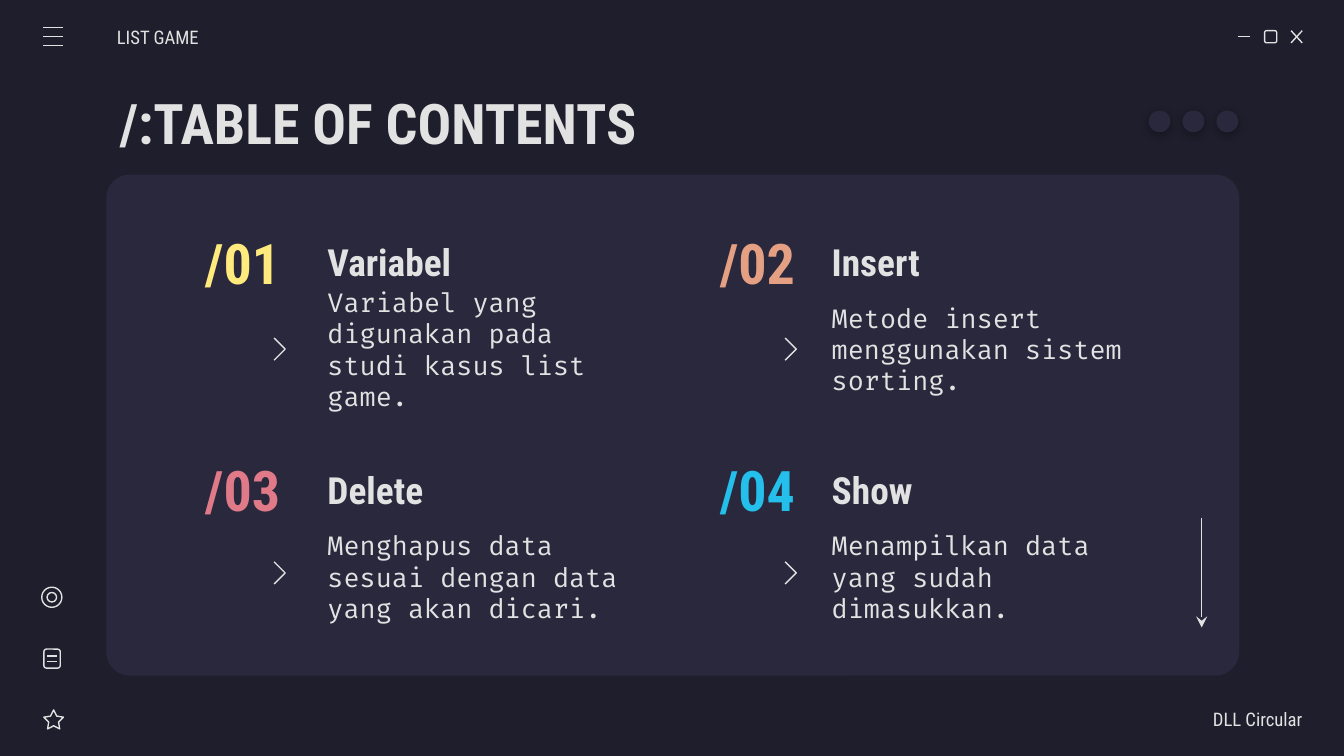
from lxml import etree
from pptx import Presentation, util as u
from pptx.dml.color import RGBColor
from pptx.enum import shapes, text
from pptx.oxml import parse_xml
from pptx.oxml.ns import nsdecls, qn

Cm = u.Cm
MSO = shapes.MSO_SHAPE
COLORS = {
    "background": "1E1E2C", "panel": "29283D", "light": "E2E2E2",
    "yellow": "FFEA7D", "orange": "E5A083", "pink": "E07A88", "blue": "24BFEB",
}
HEAD, BODY = "Roboto Condensed", "Fira Code"

prs = Presentation()
prs.slide_width, prs.slide_height = Cm(25.4), Cm(14.29)
s = prs.slides.add_slide(prs.slide_layouts[6])
s.background.fill.solid()
s.background.fill.fore_color.rgb = RGBColor.from_string(COLORS["background"])


def style(sp, fill=None):
    """Fill a shape without an outline, or leave it hollow with a thin light line."""
    sp.shadow.inherit = False
    if fill:
        sp.fill.solid()
        sp.fill.fore_color.rgb = RGBColor.from_string(COLORS[fill])
        sp.line.fill.background()
        return
    if hasattr(sp, "fill"):
        sp.fill.background()
    sp.line.color.rgb = RGBColor.from_string(COLORS["light"])
    sp.line.width = u.Pt(0.75)


def add_text(words, x, y, w, h, size, font=HEAD, bold=False, color="light",
             align=text.PP_ALIGN.LEFT, left=0.25, right=0.25):
    tf = s.shapes.add_textbox(Cm(x), Cm(y), Cm(w), Cm(h)).text_frame
    tf.word_wrap = True
    tf.vertical_anchor = text.MSO_ANCHOR.MIDDLE
    tf.margin_left, tf.margin_right = Cm(left), Cm(right)
    tf.margin_top = tf.margin_bottom = Cm(0.25)
    tf.text = words
    p = tf.paragraphs[0]
    p.alignment = align
    r = p.runs[0]
    r.font.name, r.font.size, r.font.bold = font, u.Pt(size), bold
    r.font.color.rgb = RGBColor.from_string(COLORS[color])


# Panel
panel = s.shapes.add_shape(MSO.ROUNDED_RECTANGLE, Cm(2.01), Cm(3.3), Cm(21.41), Cm(9.47))
panel.adjustments[0] = 0.047
style(panel, "panel")

# Window buttons, menu bars, note lines and the scroll arrow
lines = [
    (23.4, 0.69, 23.62, 0.69),
    (24.4, 0.58, 24.61, 0.81), (24.61, 0.58, 24.4, 0.81),
    *[(0.82, y, 1.2, y) for y in (0.52, 0.69, 0.86)],
    *[(0.89, y, 1.07, y) for y in (12.4, 12.5)],
    (22.71, 9.8, 22.71, 11.86),
]
for x1, y1, x2, y2 in lines:
    line = s.shapes.add_connector(shapes.MSO_CONNECTOR.STRAIGHT, Cm(x1), Cm(y1), Cm(x2), Cm(y2))
    line.line.color.rgb = RGBColor.from_string(COLORS["light"])
    line.line.width = u.Pt(0.75)
    etree.SubElement(line._element.spPr, qn("a:effectLst"))
scroll_ln = line.line._get_or_add_ln()
etree.SubElement(scroll_ln, qn("a:tailEnd"), type="stealth")

# Outlined icons: maximise button, star, note, target
icons = [
    (MSO.ROUNDED_RECTANGLE, 23.9, 0.58, 0.23, 0.23),
    (MSO.STAR_5_POINT, 0.83, 13.42, 0.37, 0.36),
    (MSO.ROUNDED_RECTANGLE, 0.83, 12.27, 0.31, 0.36),
    (MSO.OVAL, 0.79, 11.1, 0.38, 0.38),
    (MSO.OVAL, 0.89, 11.2, 0.18, 0.18),
]
for kind, x, y, w, h in icons:
    icon = s.shapes.add_shape(kind, Cm(x), Cm(y), Cm(w), Cm(h))
    if kind == MSO.STAR_5_POINT:
        icon.adjustments[0] = 0.254
    style(icon)

# Header and footer
add_text("/:TABLE OF CONTENTS", 2.01, 1.5, 21.41, 1.6, 30, bold=True)
add_text("LIST GAME", 2.21, 0.31, 2.97, 0.77, 10, left=0)
add_text("DLL Circular", 21.64, 13.21, 2.97, 0.77, 10, align=text.PP_ALIGN.RIGHT, right=0)

# Contents, two by two
topics = [
    ("Variabel", "Variabel yang digunakan pada studi kasus list game.", "yellow"),
    ("Insert", "Metode insert menggunakan sistem sorting.", "orange"),
    ("Delete", "Menghapus data sesuai dengan data yang akan dicari.", "pink"),
    ("Show", "Menampilkan data yang sudah dimasukkan.", "blue"),
]
columns = [(3.43, 5.18, 5.94), (13.16, 14.84, 15.47)]  # number, chevron, text
rows = [(4.24, 6.39), (8.54, 10.62)]  # heading, chevron
for i, (heading, body, color) in enumerate(topics):
    number_x, chevron_x, text_x = columns[i % 2]
    top, chevron_y = rows[i // 2]
    add_text(heading, text_x, top, 6.5, 1.42, 20, bold=True)
    add_text(f"/0{i + 1}", number_x, top, 2.31, 1.42, 30, bold=True, color=color,
             align=text.PP_ALIGN.CENTER)
    add_text(body, text_x, top + 1.41, 6.5, 1.9, 14, font=BODY)
    fb = s.shapes.build_freeform(Cm(chevron_x), Cm(chevron_y))
    fb.add_line_segments([(Cm(chevron_x + 0.21), Cm(chevron_y + 0.21)),
                          (Cm(chevron_x), Cm(chevron_y + 0.42))], close=False)
    style(fb.convert_to_shape())

# Dots with a soft shadow
for i in range(3):
    dot = s.shapes.add_shape(MSO.OVAL, Cm(21.71 + 0.64 * i), Cm(2.09), Cm(0.41), Cm(0.41))
    style(dot, "panel")
    dot._element.spPr.find(qn("a:effectLst")).append(parse_xml(
        f'<a:outerShdw {nsdecls("a")} blurRad="{u.Pt(4.5)}" dist="{u.Pt(1.5)}" '
        'dir="5400000" algn="bl" rotWithShape="0"><a:srgbClr val="000000">'
        '<a:alpha val="30000"/></a:srgbClr></a:outerShdw>'))

prs.save("out.pptx")
